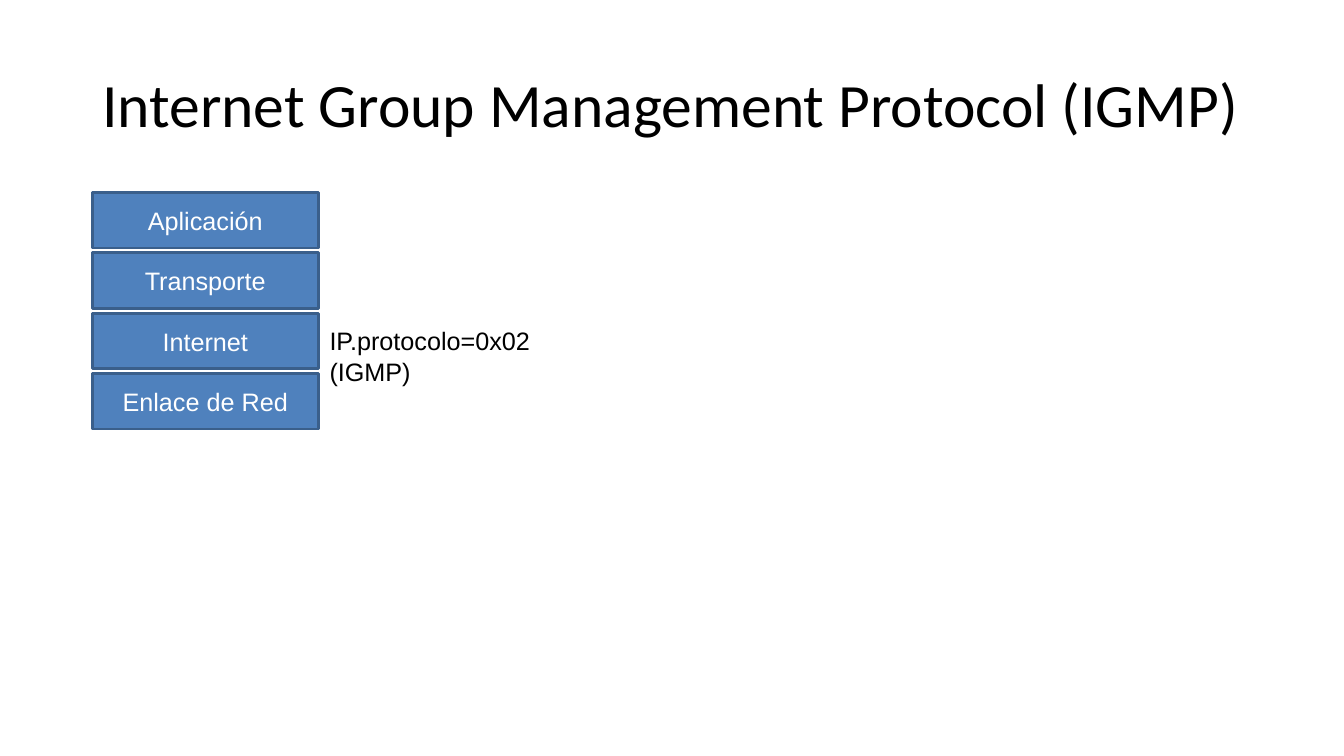
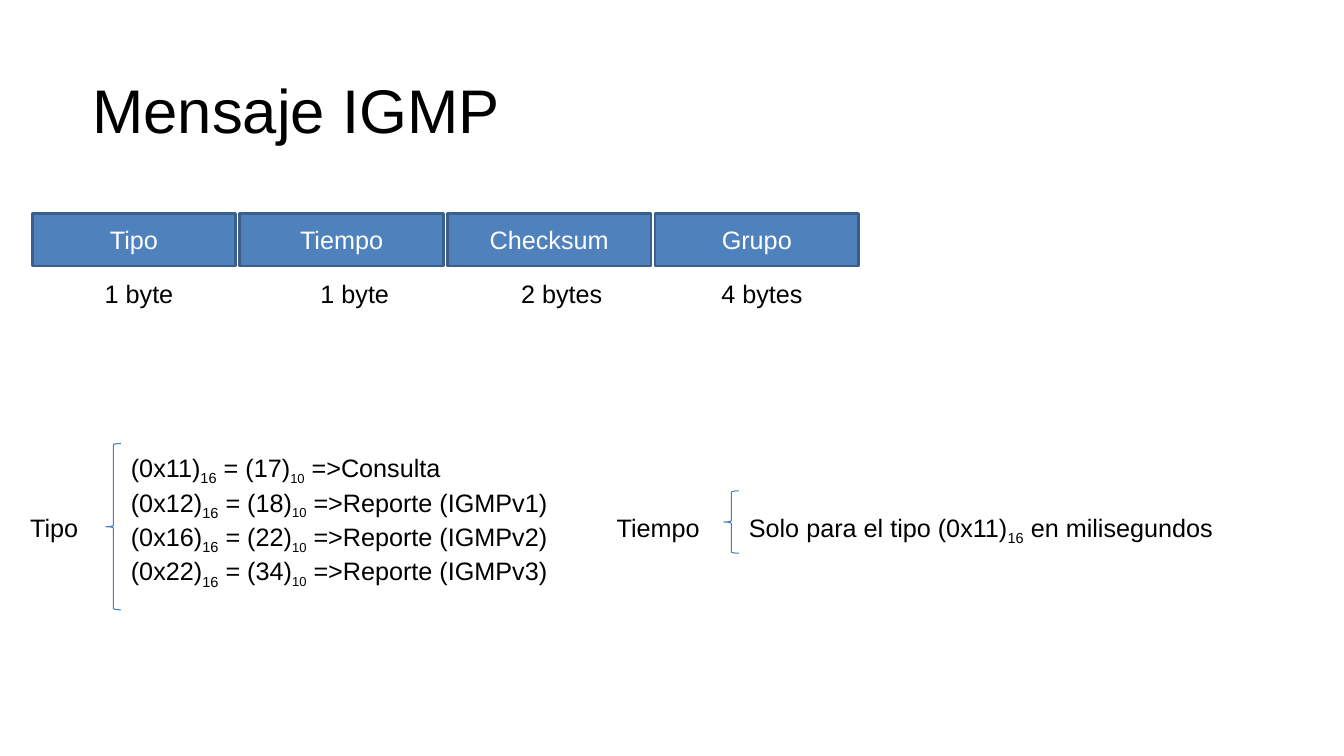
from dataclasses import dataclass

from pptx import Presentation
from pptx.dml.color import RGBColor
from pptx.enum import shapes, text
from pptx.util import Pt


@dataclass(frozen=True)
class Theme:
    box_fill: RGBColor = RGBColor.from_string("4F81BD")
    box_line: RGBColor = RGBColor.from_string("3A5F8B")
    brace_line: RGBColor = RGBColor.from_string("4A7EBB")
    dark: RGBColor = RGBColor.from_string("000000")
    light: RGBColor = RGBColor.from_string("FFFFFF")
    body_font: str = "Arial"
    title_size: float = 44
    body_size: float = 18
    small_size: float = 16
    box_line_width: float = 2
    brace_line_width: float = 0.75


THEME = Theme()
INSET = (7.2, 3.6)
LABEL_HEIGHT = 29

LAYERS_TITLE = "Internet Group Management Protocol (IGMP)"
LAYERS = [
    ("Aplicación", None),
    ("Transporte", None),
    ("Internet", "IP.protocolo=0x02 (IGMP)"),
    ("Enlace de Red", None),
]

MESSAGE_TITLE = "Mensaje IGMP"
# Field name, field length, left edge of the length label
FIELDS = [
    ("Tipo", "1 byte", 67.7),
    ("Tiempo", "1 byte", 221.8),
    ("Checksum", "2 bytes", 365.2),
    ("Grupo", "4 bytes", 508.2),
]
MESSAGE_TYPES = [
    ("0x11", 17, "Consulta"),
    ("0x12", 18, "Reporte (IGMPv1)"),
    ("0x16", 22, "Reporte (IGMPv2)"),
    ("0x22", 34, "Reporte (IGMPv3)"),
]


@dataclass(frozen=True)
class Subscript:
    text: str
    size: float = THEME.body_size


TYPE_LINES = [
    [f"({code})", Subscript("16"), f" = ({number})",
     Subscript("10", THEME.small_size), f" =>{meaning}"]
    for code, number, meaning in MESSAGE_TYPES
]
TIME_LINES = [["Solo para el tipo (0x11)", Subscript("16"), " en milisegundos"]]

# Each note: name, its box, brace box, explanation lines, their box
NOTES = [
    ("Tipo", (14.4, 362.2, 61.2, LABEL_HEIGHT), (75.6, 316.8, 10.8, 118.8),
     TYPE_LINES, (86.4, 319.7, 347, 126.7)),
    ("Tiempo", (433.4, 362.2, 80.6, LABEL_HEIGHT), (517, 350.6, 10.8, 44.6),
     TIME_LINES, (527.8, 362.2, 365.8, 53.3)),
]


def write(shape, lines, *, size=THEME.body_size, font=THEME.body_font,
          color=THEME.dark, align=text.PP_ALIGN.LEFT,
          anchor=text.MSO_ANCHOR.TOP, inset=INSET, wrap=True, spacing=1.0):
    """Fill a shape with a string, or with paragraphs given as lists of runs."""
    frame = shape.text_frame
    frame.word_wrap = wrap
    frame.vertical_anchor = anchor
    frame.margin_left = frame.margin_right = Pt(inset[0])
    frame.margin_top = frame.margin_bottom = Pt(inset[1])
    if isinstance(lines, str):
        lines = [[lines]]
    for index, pieces in enumerate(lines):
        paragraph = frame.add_paragraph() if index else frame.paragraphs[0]
        paragraph.alignment = align
        paragraph.line_spacing = spacing
        for piece in pieces:
            run = paragraph.add_run()
            run.font.name = font
            run.font.color.rgb = color
            if isinstance(piece, Subscript):
                run.text = piece.text
                run.font.size = Pt(piece.size)
                run._r.get_or_add_rPr().set("baseline", "-25000")
            else:
                run.text = piece
                run.font.size = Pt(size)


def add_text(slide, box, lines, **style):
    write(slide.shapes.add_textbox(*map(Pt, box)), lines, **style)


def add_title(slide, title, top, **style):
    add_text(slide, (66, top, 828, 104.4), title, size=THEME.title_size,
             anchor=text.MSO_ANCHOR.MIDDLE, spacing=0.9, **style)


def add_shape(slide, kind, box, line_color, line_width):
    shape = slide.shapes.add_shape(kind, *map(Pt, box))
    shape.shadow.inherit = False
    shape.line.color.rgb = line_color
    shape.line.width = Pt(line_width)
    return shape


def add_box(slide, box, label):
    shape = add_shape(slide, shapes.MSO_SHAPE.RECTANGLE, box,
                      THEME.box_line, THEME.box_line_width)
    shape.fill.solid()
    shape.fill.fore_color.rgb = THEME.box_fill
    write(shape, label, color=THEME.light, align=text.PP_ALIGN.CENTER,
          anchor=text.MSO_ANCHOR.MIDDLE)


def add_brace(slide, box):
    brace = add_shape(slide, shapes.MSO_SHAPE.LEFT_BRACE, box,
                      THEME.brace_line, THEME.brace_line_width)
    brace.fill.background()
    brace.adjustments[0] = 0.083
    brace.adjustments[1] = 0.5


def build_layers(slide):
    add_title(slide, LAYERS_TITLE, 24.5, font="Calibri")
    left, top, width, height, pitch = 66, 137.5, 161.3, 39.6, 43.1
    for row, (layer, detail) in enumerate(LAYERS):
        y = top + row * pitch
        add_box(slide, (left, y, width, height), layer)
        if detail:
            label_top = y + (height - LABEL_HEIGHT) / 2
            add_text(slide, (left + width + 1, label_top, 220.3, LABEL_HEIGHT),
                     detail, wrap=False)


def build_message(slide):
    add_title(slide, MESSAGE_TITLE, 28.8, inset=(0, 0))
    left, top, width, height, pitch = 23, 152.6, 145.4, 37.4, 148.3
    for column, (field, length, label_left) in enumerate(FIELDS):
        add_box(slide, (left + column * pitch, top, width, height), field)
        add_text(slide, (label_left, top + height + 5.1, 75, LABEL_HEIGHT),
                 length, wrap=False)
    for name, name_box, brace_box, lines, lines_box in NOTES:
        add_text(slide, name_box, name)
        add_brace(slide, brace_box)
        add_text(slide, lines_box, lines)


def main():
    presentation = Presentation()
    presentation.slide_width, presentation.slide_height = Pt(960), Pt(540)
    blank = presentation.slide_layouts[6]
    for build in (build_layers, build_message):
        build(presentation.slides.add_slide(blank))
    presentation.save("out.pptx")


if __name__ == "__main__":
    main()
